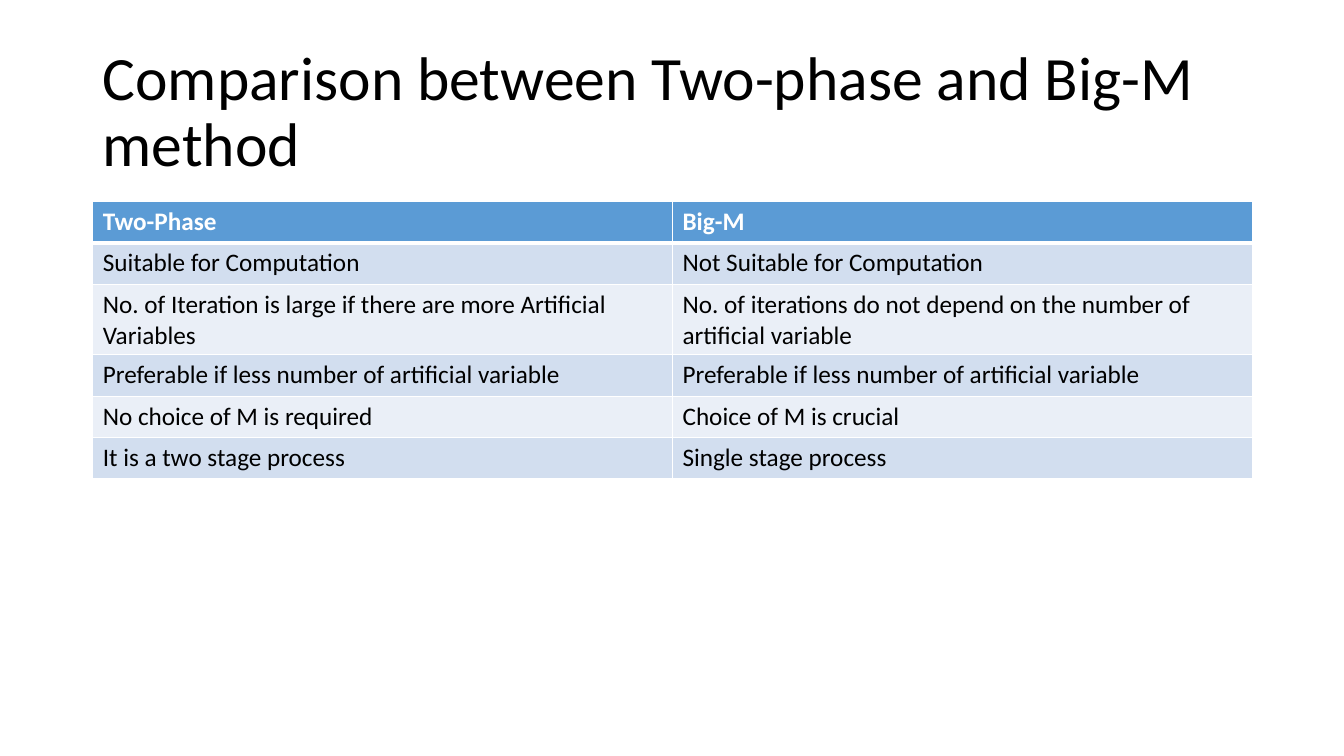
import pptx
import pptx.util
import pptx.dml.color
import pptx.enum.text
import pptx.oxml.ns
from lxml import etree
from pptx.util import Inches

THEME = {
    "font": "Calibri",
    "title_size": 44,
    "table_size": 18,
    "text": "000000",
    "white": "FFFFFF",
    "header": "5B9BD5",
    "bands": ("D2DEEF", "EAEFF7"),
}

ROWS = [
    ("Two-Phase", "Big-M"),
    ("Suitable for Computation", "Not Suitable for Computation"),
    ("No. of Iteration is large if there are more Artificial Variables",
     "No. of iterations do not depend on the number of artificial variable"),
    ("Preferable if less number of artificial variable",
     "Preferable if less number of artificial variable"),
    ("No choice of M is required", "Choice of M is crucial"),
    ("It is a two stage process", "Single stage process"),
]


def add_run(p, text, size, color, bold=False):
    r = p.add_run()
    r.text = text
    r.font.name = THEME["font"]
    r.font.size = pptx.util.Pt(size)
    r.font.bold = bold
    r.font.color.rgb = pptx.dml.color.RGBColor.from_string(color)


def add_border(cell, side, width):
    qn = pptx.oxml.ns.qn
    ln = etree.SubElement(cell._tc.get_or_add_tcPr(), qn(f"a:ln{side}"),
                          w=str(pptx.util.Pt(width)))
    fill = etree.SubElement(ln, qn("a:solidFill"))
    etree.SubElement(fill, qn("a:srgbClr"), val=THEME["white"])


prs = pptx.Presentation()
prs.slide_width = Inches(13.33)
prs.slide_height = Inches(7.5)
s = prs.slides.add_slide(prs.slide_layouts[6])

sp = s.shapes.add_textbox(Inches(0.92), Inches(0.4), Inches(11.5), Inches(1.45))
tf = sp.text_frame
tf.word_wrap = True
tf.vertical_anchor = pptx.enum.text.MSO_ANCHOR.MIDDLE
p = tf.paragraphs[0]
p.line_spacing = 0.9
add_run(p, "Comparison between Two-phase and Big-M method",
        THEME["title_size"], THEME["text"])

row_height = 0.41
table = s.shapes.add_table(len(ROWS), 2, Inches(0.92), Inches(2), Inches(11.5),
                           Inches(row_height * len(ROWS))).table
for i, texts in enumerate(ROWS):
    table.rows[i].height = Inches(row_height)
    header = i == 0
    for j, text in enumerate(texts):
        cell = table.cell(i, j)
        for side in "LRTB":
            under_header = (i, side) in ((0, "B"), (1, "T"))
            add_border(cell, side, 3 if under_header else 1)
        fill = THEME["header"] if header else THEME["bands"][(i - 1) % 2]
        cell.fill.solid()
        cell.fill.fore_color.rgb = pptx.dml.color.RGBColor.from_string(fill)
        add_run(cell.text_frame.paragraphs[0], text, THEME["table_size"],
                THEME["white"] if header else THEME["text"], header)

prs.save("out.pptx")
